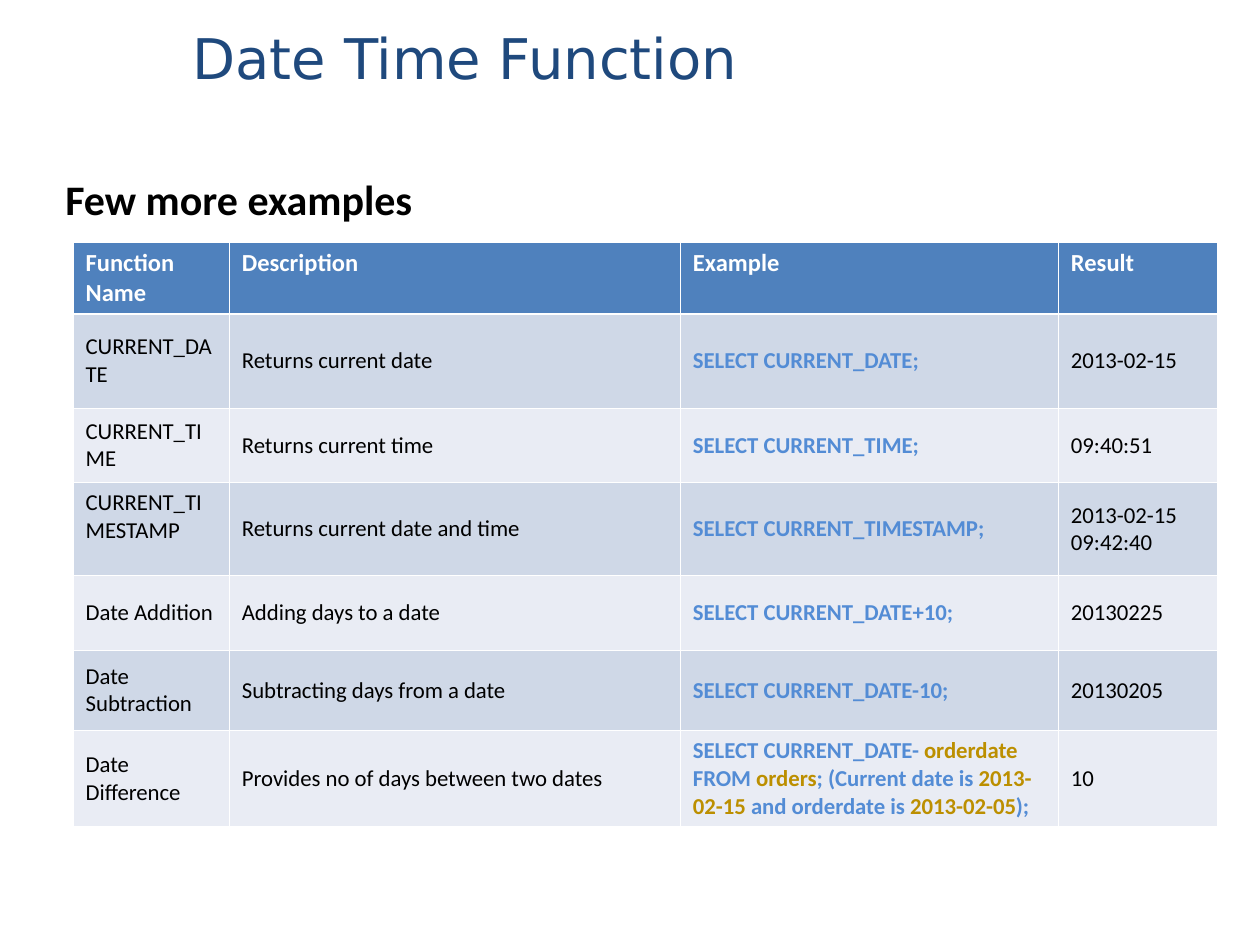
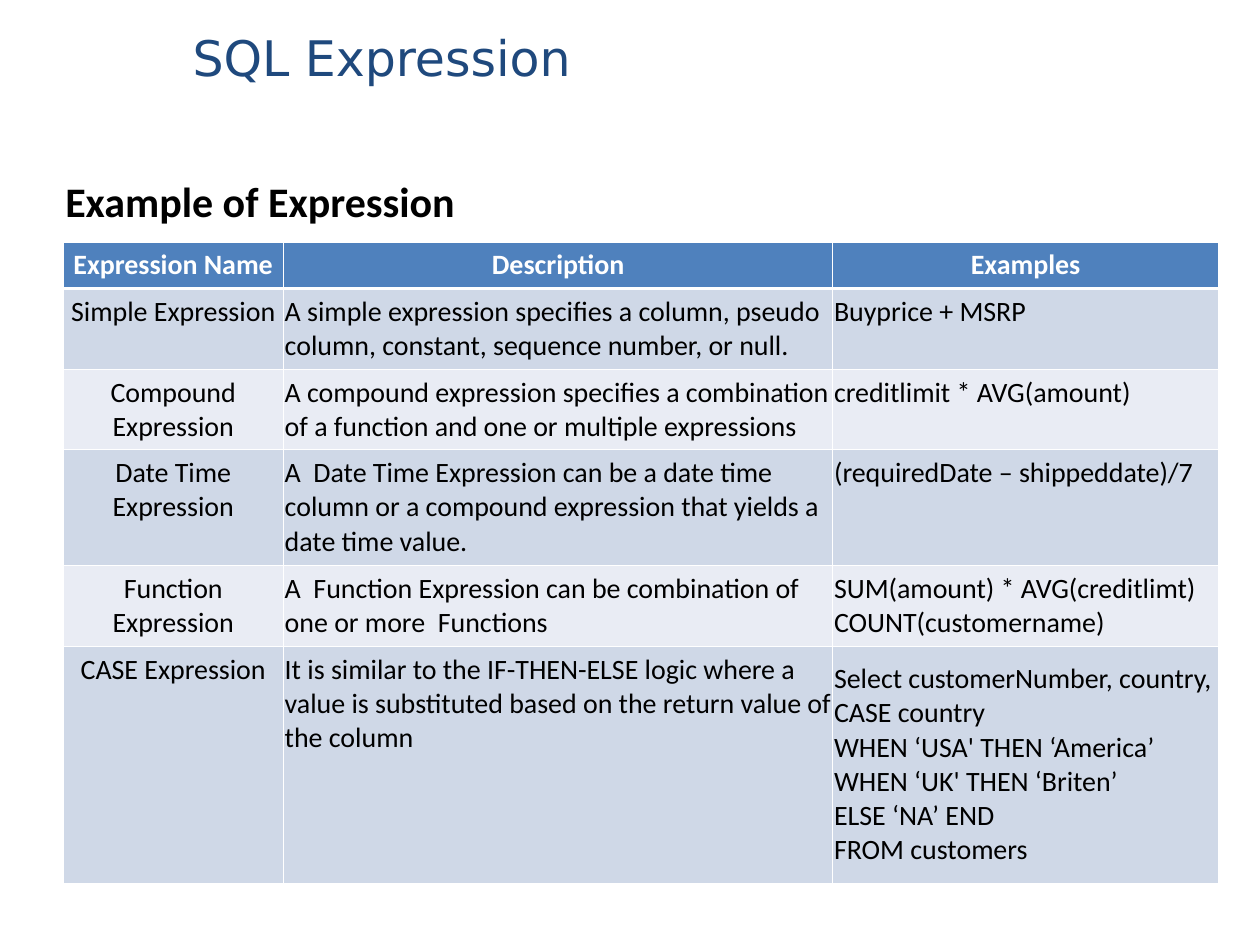
"""Build two slides of SQL reference tables: date functions and expressions."""
import itertools

import lxml.etree
import pptx
import pptx.dml.color
import pptx.enum.text
import pptx.oxml.ns
import pptx.util

Inches = pptx.util.Inches
Pt = pptx.util.Pt
RGBColor = pptx.dml.color.RGBColor
ANCHOR = pptx.enum.text.MSO_ANCHOR
ALIGN = pptx.enum.text.PP_ALIGN
qn = pptx.oxml.ns.qn

NAVY = RGBColor(0x1F, 0x49, 0x7D)
HEADER_BLUE = RGBColor(0x4F, 0x81, 0xBD)
BAND_DARK = RGBColor(0xCF, 0xD8, 0xE7)
BAND_LIGHT = RGBColor(0xE9, 0xEC, 0xF4)
SQL_BLUE = RGBColor(0x53, 0x8C, 0xD5)
SQL_GOLD = RGBColor(0xBC, 0x8F, 0x00)
BLACK = RGBColor(0, 0, 0)
WHITE = RGBColor(0xFF, 0xFF, 0xFF)

TITLE_FONT = "DejaVu Sans"
BODY_FONT = "Calibri"
THIN, THICK = 0.45, 1.47

DATE_FUNCTIONS = [
    ("Function Name", "Description", "Example", "Result"),
    ("CURRENT_DATE", "Returns current date", "SELECT CURRENT_DATE;", "2013-02-15"),
    ("CURRENT_TIME", "Returns current time", "SELECT CURRENT_TIME;", "09:40:51"),
    ("CURRENT_TIMESTAMP", "Returns current date and time",
     "SELECT CURRENT_TIMESTAMP;", "2013-02-15 09:42:40"),
    ("Date Addition", "Adding days to a date", "SELECT CURRENT_DATE+10;", "20130225"),
    ("Date Subtraction", "Subtracting days from a date",
     "SELECT CURRENT_DATE-10;", "20130205"),
    ("Date Difference", "Provides no of days between two dates",
     ("SELECT CURRENT_DATE- ", "orderdate", " FROM ", "orders",
      "; (Current date is ", "2013-02-15", " and orderdate is ", "2013-02-05", ");"),
     "10"),
]

EXPRESSIONS = [
    ("Expression Name", "Description", "Examples"),
    ("Simple Expression",
     "A simple expression specifies a column, pseudo column, constant, "
     "sequence number, or null.",
     "Buyprice + MSRP"),
    ("Compound Expression",
     "A compound expression specifies a combination of a function and one or "
     "multiple expressions",
     "creditlimit * AVG(amount)"),
    ("Date Time Expression",
     "A  Date Time Expression can be a date time column or a compound expression "
     "that yields a date time value.",
     "(requiredDate – shippeddate)/7"),
    ("Function Expression",
     "A  Function Expression can be combination of one or more  Functions",
     "SUM(amount) * AVG(creditlimt)\nCOUNT(customername)"),
    ("CASE Expression",
     "It is similar to the IF-THEN-ELSE logic where a value is substituted based "
     "on the return value of the column",
     "Select customerNumber, country,\nCASE country\nWHEN ‘USA' THEN ‘America’\n"
     "WHEN ‘UK' THEN ‘Briten’\nELSE ‘NA’ END\nFROM customers"),
]


def add_run(paragraph, text, size, color, bold=False, font=BODY_FONT):
    """Append one styled run to a paragraph."""
    run = paragraph.add_run()
    run.text = text
    run.font.name = font
    run.font.size = Pt(size)
    run.font.bold = bold
    run.font.color.rgb = color


def add_label(slide, box, text, size, color, anchor=ANCHOR.TOP, **style):
    """Add a one-line text box; box is left, top, width, height in inches."""
    frame = slide.shapes.add_textbox(*map(Inches, box)).text_frame
    frame.word_wrap = True
    frame.vertical_anchor = anchor
    add_run(frame.paragraphs[0], text, size, color, **style)


def add_title(slide, text, size):
    """Add the slide title in the shared position and style."""
    add_label(slide, (1.43, -0.17, 9.07, 1.25), text, size, NAVY,
              ANCHOR.MIDDLE, font=TITLE_FONT)


def add_heading(slide, text, box):
    """Add the bold heading above the table."""
    add_label(slide, box, text, 24, BLACK, bold=True)


def set_borders(cell, top, bottom):
    """Draw white cell borders with the given top and bottom widths in points."""
    properties = cell._tc.get_or_add_tcPr()
    for side, width in zip("LRTB", (THIN, THIN, top, bottom)):
        line = lxml.etree.SubElement(properties, qn(f"a:ln{side}"), w=str(Pt(width)))
        fill = lxml.etree.SubElement(line, qn("a:solidFill"))
        lxml.etree.SubElement(fill, qn("a:srgbClr"), val=str(WHITE))


def fill_cell(cell, content, size, color, bold, align):
    """Write one paragraph per line; a tuple alternates SQL text and values."""
    frame = cell.text_frame
    if isinstance(content, tuple):
        for text, part_color in zip(content, itertools.cycle((SQL_BLUE, SQL_GOLD))):
            add_run(frame.paragraphs[0], text, size, part_color, bold)
        return
    for index, text in enumerate(content.split("\n")):
        paragraph = frame.add_paragraph() if index else frame.paragraphs[0]
        paragraph.alignment = align
        add_run(paragraph, text, size, color, bold)


def add_banded_table(slide, left, widths, heights, rows, sizes, side_margin,
                     header_align=ALIGN.LEFT, name_align=ALIGN.LEFT,
                     body_anchor=ANCHOR.TOP, sql_column=None):
    """Add a table with a blue header and alternating bands, and return it."""
    table = slide.shapes.add_table(
        len(rows), len(widths), Inches(left), Inches(1.92),
        Inches(sum(widths)), Inches(sum(heights))).table
    for column, width in zip(table.columns, widths):
        column.width = Inches(width)
    for row, height in zip(table.rows, heights):
        row.height = Inches(height)
    header_size, body_size = sizes
    for r, contents in enumerate(rows):
        for c, content in enumerate(contents):
            cell = table.cell(r, c)
            cell.margin_left = cell.margin_right = Inches(side_margin)
            set_borders(cell, THICK if r == 1 else THIN, THICK if r == 0 else THIN)
            cell.fill.solid()
            if r == 0:
                cell.fill.fore_color.rgb = HEADER_BLUE
                fill_cell(cell, content, header_size, WHITE, True, header_align)
                continue
            cell.fill.fore_color.rgb = BAND_DARK if r % 2 else BAND_LIGHT
            cell.vertical_anchor = body_anchor
            is_sql = c == sql_column
            fill_cell(cell, content, body_size, SQL_BLUE if is_sql else BLACK,
                      is_sql, name_align if c == 0 else ALIGN.LEFT)
    return table


def add_date_functions(slide):
    """Fill the slide on date and time functions."""
    add_title(slide, "Date Time Function", 32)
    functions = add_banded_table(
        slide, 0.58, (1.24, 3.58, 3, 1.26),
        (0.57, 0.75, 0.59, 0.74, 0.59, 0.64, 0.76), DATE_FUNCTIONS,
        sizes=(14, 13), side_margin=0.1, body_anchor=ANCHOR.MIDDLE, sql_column=2)
    functions.cell(3, 0).vertical_anchor = ANCHOR.TOP
    add_heading(slide, "Few more examples", (0.42, 1.33, 9.08, 0.5))


def add_expressions(slide):
    """Fill the slide on SQL expressions."""
    add_heading(slide, "Example of Expression", (0.42, 1.34, 9.5, 5.41))
    add_title(slide, "SQL Expression", 28)
    expressions = add_banded_table(
        slide, 0.5, (1.75, 4.36, 3.06), (0.37, 0.64, 0.64, 0.92, 0.64, 1.88),
        EXPRESSIONS, sizes=(16, 16), side_margin=0.01,
        header_align=ALIGN.CENTER, name_align=ALIGN.CENTER)
    expressions.cell(5, 2).vertical_anchor = ANCHOR.MIDDLE


def main():
    """Build and save the presentation."""
    deck = pptx.Presentation()
    deck.slide_width = Inches(10)
    deck.slide_height = Inches(7.5)
    blank = deck.slide_layouts[6]
    for build in (add_date_functions, add_expressions):
        build(deck.slides.add_slide(blank))
    deck.save("out.pptx")


if __name__ == "__main__":
    main()
